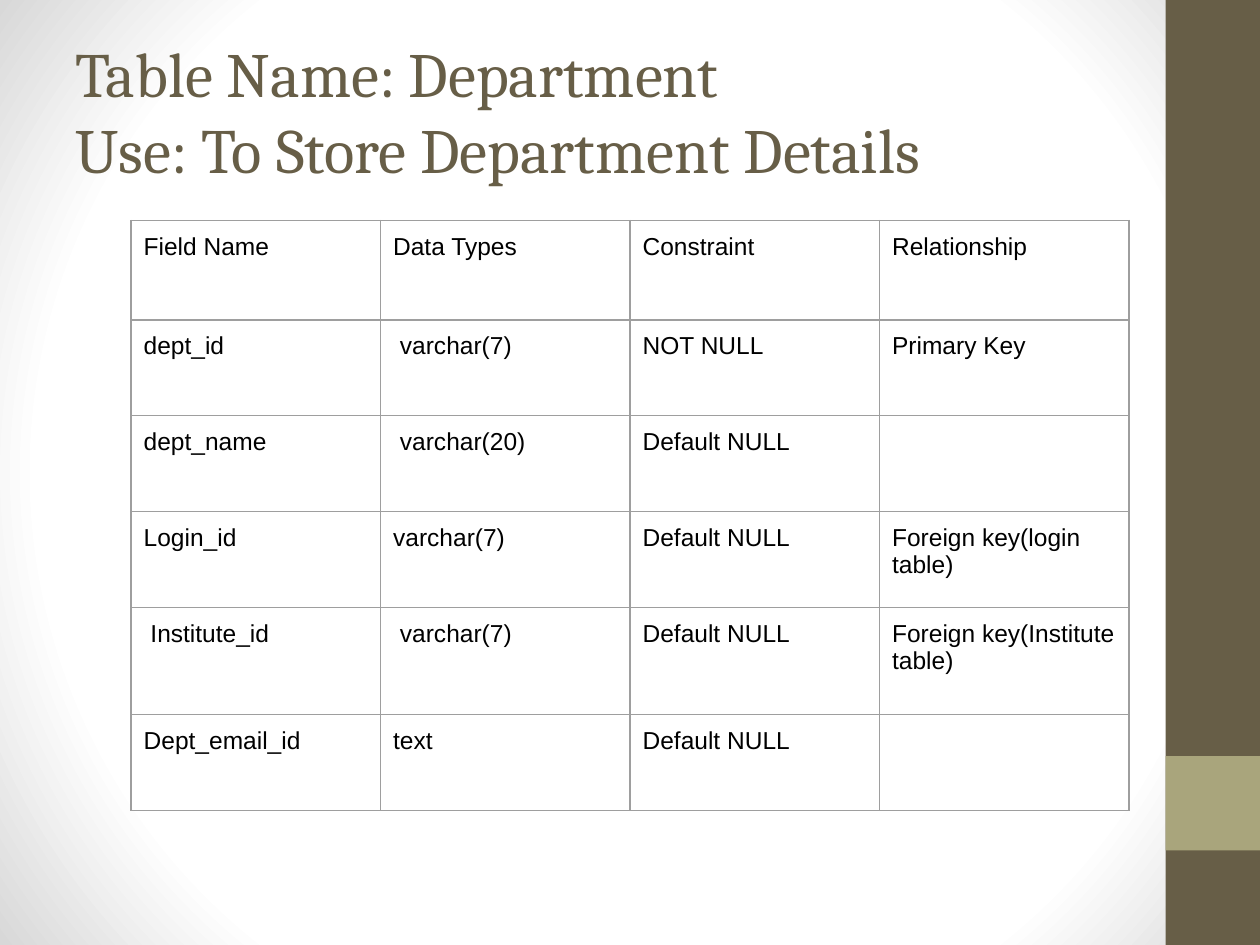
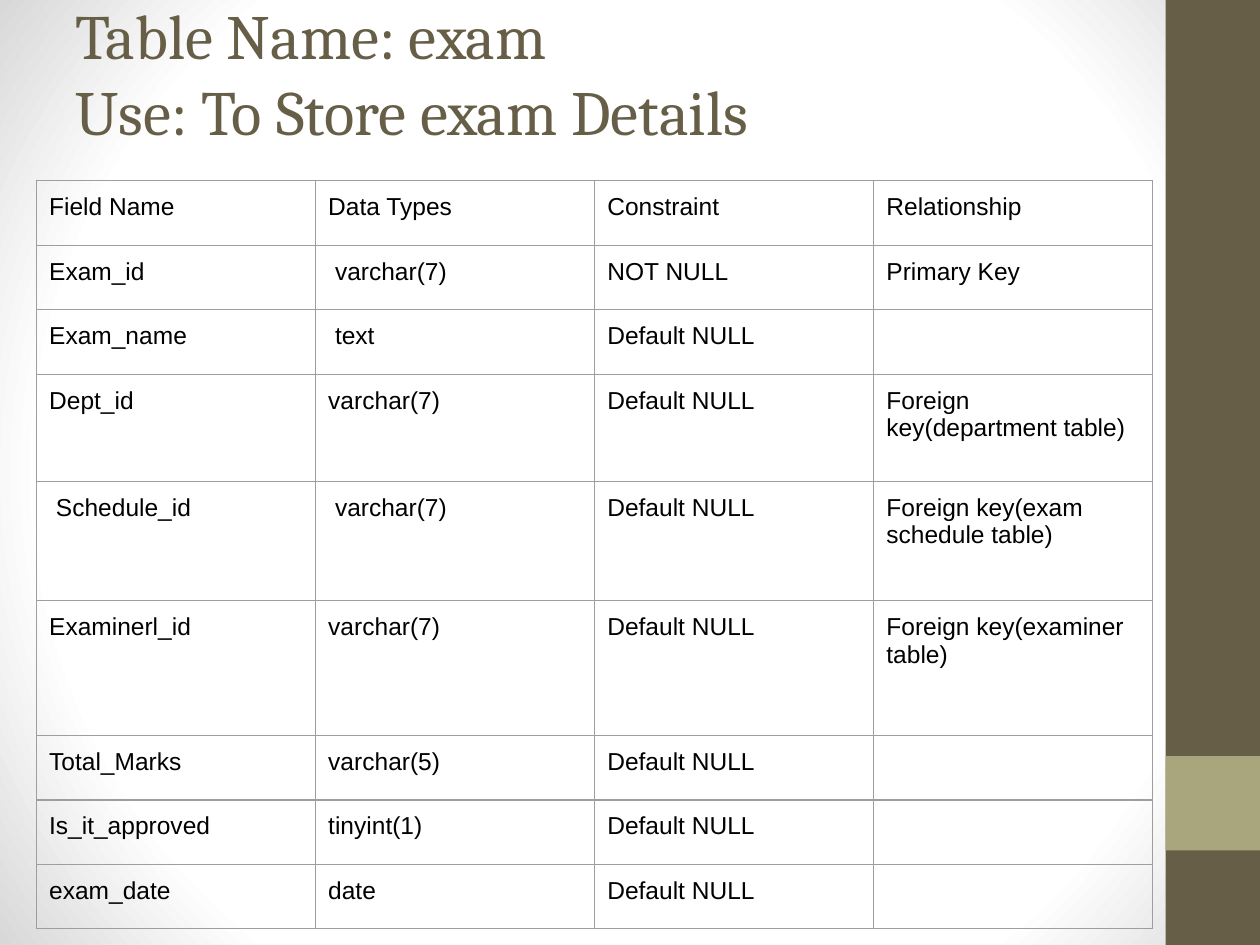
from pptx import Presentation
from pptx.dml.color import RGBColor
from pptx.enum.shapes import MSO_SHAPE
from pptx.enum.text import MSO_ANCHOR, MSO_AUTO_SIZE, PP_ALIGN
from pptx.oxml import parse_xml
from pptx.oxml.ns import nsdecls, qn
from pptx.util import Inches, Pt

RECT = MSO_SHAPE.RECTANGLE
LEFT = PP_ALIGN.LEFT
MIDDLE = MSO_ANCHOR.MIDDLE
NO_FIT = MSO_AUTO_SIZE.NONE

HEAD = ("Field Name", "Data Types", "Constraint", "Relationship")
DEFAULT = "Default NULL"

# Each row: height, then its cells in the order of HEAD.
SLIDES = [
    {
        "title": ("Table Name: Department", "Use: To Store Department Details"),
        "title_high": 1.75,
        "left": 1.04, "top": 1.75, "wide": 7.92,
        "rows": [
            (0.79, *HEAD),
            (0.76, "dept_id", " varchar(7)", "NOT NULL", "Primary Key"),
            (0.76, "dept_name", " varchar(20)", DEFAULT, ""),
            (0.76, "Login_id", "varchar(7)", DEFAULT, "Foreign key(login table)"),
            (0.85, " Institute_id", " varchar(7)", DEFAULT,
             "Foreign key(Institute table)"),
            (0.76, "Dept_email_id", "text", DEFAULT, ""),
        ],
    },
    {
        "title": ("Table Name: exam", "Use: To Store exam Details"),
        "title_high": 1.15,
        "left": 0.29, "top": 1.43, "wide": 8.86,
        "rows": [
            (0.52, *HEAD),
            (0.51, "Exam_id", " varchar(7)", "NOT NULL", "Primary Key"),
            (0.51, "Exam_name", " text", DEFAULT, ""),
            (0.85, "Dept_id", "varchar(7)", DEFAULT,
             "Foreign key(department table)"),
            (0.95, " Schedule_id", " varchar(7)", DEFAULT,
             "Foreign key(exam schedule table)"),
            (1.07, "Examinerl_id", "varchar(7)", DEFAULT,
             "Foreign key(examiner table)"),
            (0.51, "Total_Marks", "varchar(5)", DEFAULT, ""),
            (0.51, "Is_it_approved", "tinyint(1)", DEFAULT, ""),
            (0.51, "exam_date", "date", DEFAULT, ""),
        ],
    },
]

WIDE, HIGH = 10, 7.5
BAND = 0.75
THEME = {
    "brown": "675E47", "olive": "A9A57C", "rule": "9E9E9E",
    "glow": ((0, "FFFFFF"), (75, "FFFFFF"), (100, "D8D8D8")),
    "title": {"name": "Cambria", "size": Pt(36), "color": "675E47"},
    "cell": {"name": "Arial", "size": Pt(14), "color": "000000"},
    "line": Pt(0.75),
}
INSET = {f"margin_{side}": Inches(0.1)
         for side in ("left", "top", "right", "bottom")}


def assign(item, values):
    for name, value in values.items():
        setattr(item, name, value)


def style(font, look):
    for name, value in look.items():
        if name == "color":
            font.color.rgb = RGBColor.from_string(value)
        else:
            setattr(font, name, value)


def set_glow(master):
    """Give the master a round gradient, light in the middle."""
    master.background.fill.gradient()
    old = next(master.element.iter(qn("a:gradFill")))
    stops = "".join(
        f'<a:gs pos="{share * 1000}"><a:srgbClr val="{color}"/></a:gs>'
        for share, color in THEME["glow"])
    new = parse_xml(
        f'<a:gradFill {nsdecls("a")} rotWithShape="1"><a:gsLst>{stops}</a:gsLst>'
        '<a:path path="circle"><a:fillToRect l="50000" t="50000" r="50000" '
        'b="50000"/></a:path></a:gradFill>')
    old.getparent().replace(old, new)


def add_bands(slide, master):
    """Draw the side bands and hand them to the master, for all slides."""
    tree = master.element.cSld.spTree
    for top, high, color in ((0, HIGH, "brown"), (HIGH - 2 * BAND, BAND, "olive")):
        band = slide.shapes.add_shape(
            RECT, *map(Inches, (WIDE - BAND, top, BAND, high)))
        band.shadow.inherit = False
        band.fill.solid()
        band.fill.fore_color.rgb = RGBColor.from_string(THEME[color])
        band.line.fill.background()
        tree.append(band.element)


def set_title(slide, lines, high):
    title = slide.shapes.title
    assign(title, {"left": Inches(0.5), "top": 0,
                   "width": Inches(8.33), "height": Inches(high)})
    frame = title.text_frame
    frame.text = "\n".join(lines)
    assign(frame, {**INSET, "word_wrap": True, "auto_size": NO_FIT,
                   "vertical_anchor": MIDDLE})
    for para in frame.paragraphs:
        para.alignment = LEFT
        style(para.runs[0].font, THEME["title"])


def set_rules(cell):
    """Draw a thin line on each side of the cell."""
    props = cell._tc.get_or_add_tcPr()
    for spot, side in enumerate("LRTB"):
        props.insert(spot, parse_xml(
            f'<a:ln{side} {nsdecls("a")} w="{THEME["line"]}"><a:solidFill>'
            f'<a:srgbClr val="{THEME["rule"]}"/></a:solidFill></a:ln{side}>'))


def add_grid(slide, left, top, wide, rows):
    high = sum(row[0] for row in rows)
    grid = slide.shapes.add_table(
        len(rows), len(HEAD), *map(Inches, (left, top, wide, high))).table
    assign(grid, {"first_row": False, "horz_banding": False})
    for col in grid.columns:
        col.width = Inches(wide / len(HEAD))
    for line, (tall, *texts) in zip(grid.rows, rows):
        line.height = Inches(tall)
        for cell, text in zip(line.cells, texts):
            assign(cell, INSET)
            cell.fill.background()
            set_rules(cell)
            if text:
                cell.text = text
                style(cell.text_frame.paragraphs[0].runs[0].font, THEME["cell"])


def main():
    deck = Presentation()
    assign(deck, {"slide_width": Inches(WIDE), "slide_height": Inches(HIGH)})
    master = deck.slide_master
    set_glow(master)
    layout = deck.slide_layouts.get_by_name("Title Only")
    for data in SLIDES:
        slide = deck.slides.add_slide(layout)
        set_title(slide, data["title"], data["title_high"])
        add_grid(slide, data["left"], data["top"], data["wide"], data["rows"])
    add_bands(slide, master)
    deck.save("out.pptx")


if __name__ == "__main__":
    main()
